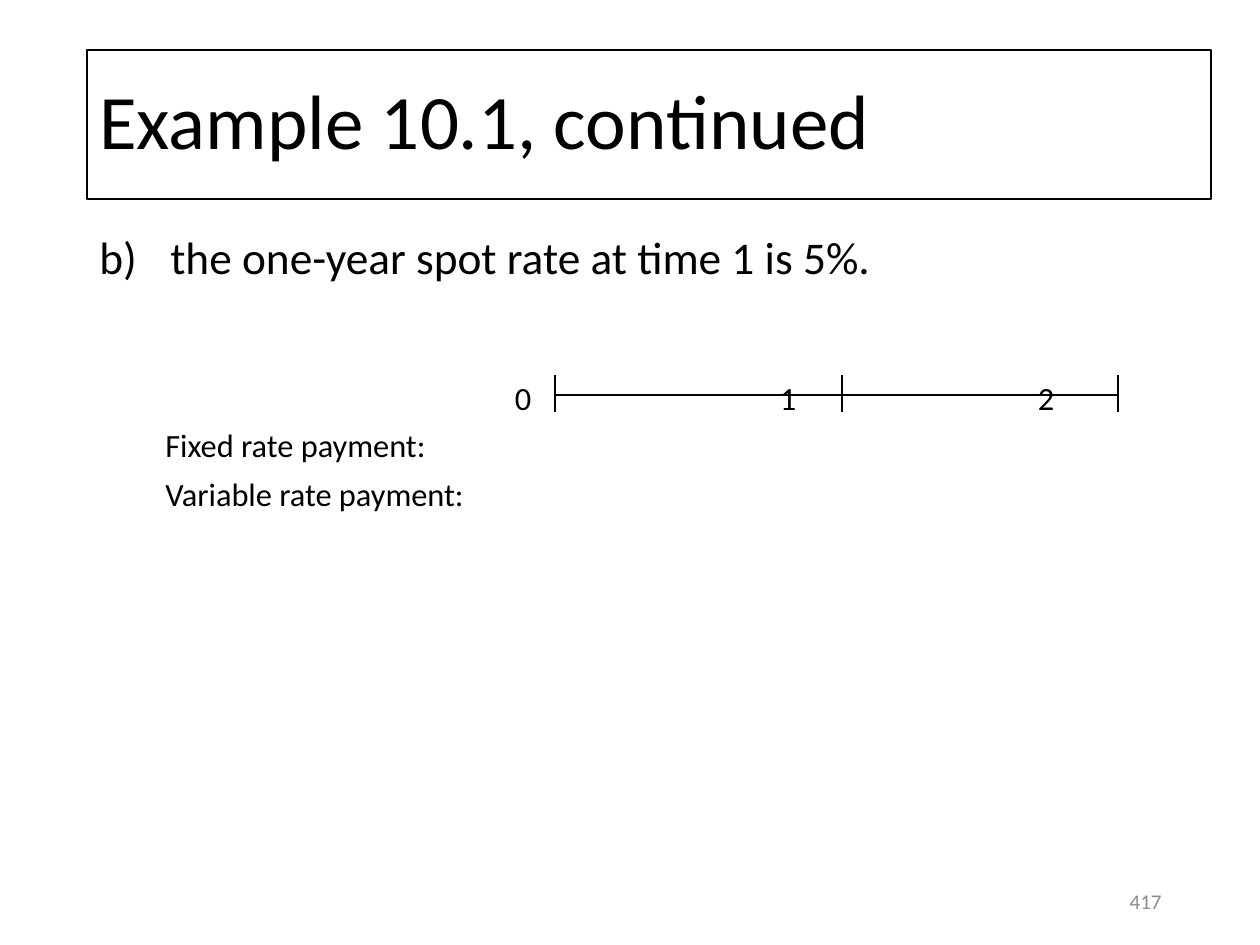
from lxml import etree
from pptx import Presentation
from pptx.dml.color import RGBColor
from pptx.enum.shapes import MSO_CONNECTOR, MSO_SHAPE
from pptx.enum.text import MSO_ANCHOR, PP_ALIGN
from pptx.oxml.ns import qn
from pptx.util import Emu, Pt

PX = 914400 // 126
LEFT, CENTER, RIGHT = PP_ALIGN.LEFT, PP_ALIGN.CENTER, PP_ALIGN.RIGHT
TOP, MIDDLE = MSO_ANCHOR.TOP, MSO_ANCHOR.MIDDLE
RECT, STRAIGHT = MSO_SHAPE.RECTANGLE, MSO_CONNECTOR.STRAIGHT
COLORS = {"ink": "000000", "muted": "8C8C8C"}


def px(n):
    return Emu(n * PX)


def write(p, text, size, color="ink", align=LEFT, spacing=1.0, before=0,
          indent=0, hanging=0, number=None):
    """Fill one paragraph; number is the start of an a), b), c) list."""
    pPr = p._p.get_or_add_pPr()
    pPr.set("marL", str(px(indent)))
    pPr.set("indent", str(-px(hanging)))
    if number:
        etree.SubElement(pPr, qn("a:buAutoNum"), type="alphaLcParenR",
                         startAt=str(number))
    p.alignment = align
    p.line_spacing = spacing
    p.space_before = Pt(before)
    r = p.add_run()
    r.text = text
    r.font.name = "Calibri"
    r.font.size = Pt(size)
    r.font.color.rgb = RGBColor.from_string(COLORS[color])


class Deck:
    def __init__(self, prs):
        self.s = prs.slides.add_slide(prs.slide_layouts[6])

    def frame(self, sp, paragraphs, anchor):
        tf = sp.text_frame
        tf.word_wrap = True
        tf.vertical_anchor = anchor
        for i, (text, style) in enumerate(paragraphs):
            write(tf.add_paragraph() if i else tf.paragraphs[0], text, **style)

    def text(self, x, y, w, h, paragraphs, anchor=TOP):
        sp = self.s.shapes.add_textbox(px(x), px(y), px(w), px(h))
        self.frame(sp, paragraphs, anchor)

    def box(self, x, y, w, h, paragraphs, line=0.75):
        sp = self.s.shapes.add_shape(RECT, px(x), px(y), px(w), px(h))
        sp.shadow.inherit = False
        sp.fill.background()
        sp.line.color.rgb = RGBColor.from_string(COLORS["ink"])
        sp.line.width = Pt(line)
        self.frame(sp, paragraphs, MIDDLE)

    def line(self, x1, y1, x2, y2, width=1):
        sp = self.s.shapes.add_connector(STRAIGHT, px(x1), px(y1), px(x2), px(y2))
        sp.line.color.rgb = RGBColor.from_string(COLORS["ink"])
        sp.line.width = Pt(width)
        etree.SubElement(sp._element.spPr, qn("a:effectLst"))


def main():
    prs = Presentation()
    prs.slide_width, prs.slide_height = px(1260), px(945)
    deck = Deck(prs)

    # Title
    deck.box(87, 50, 1124, 149,
             [("Example 10.1, continued", dict(size=44, spacing=0.9))])

    # Page number
    deck.text(890, 876, 284, 50,
              [("417", dict(size=12, color="muted", align=RIGHT))], MIDDLE)

    # Question and payment rows, with room for the time line between
    row = dict(size=18.5, spacing=0.8, indent=66)
    deck.text(87, 238, 1124, 600, [
        ("the one-year spot rate at time 1 is 5%.",
         dict(size=25.9, spacing=0.7, indent=71, hanging=71, number=2)),
        ("Fixed rate payment:", dict(row, before=86)),
        ("Variable rate payment:", dict(row, before=10)),
    ])

    # Time labels, each centred on its x
    for time, x in enumerate((523, 788, 1046)):
        deck.text(x - 25, 378, 50, 40,
                  [(str(time), dict(size=18.5, align=CENTER))], MIDDLE)

    # Time line with its ticks
    ticks = (555, 842, 1118)
    deck.line(ticks[0], 395, ticks[-1], 395)
    for x in ticks:
        deck.line(x, 375, x, 412)

    prs.save("out.pptx")


if __name__ == "__main__":
    main()
